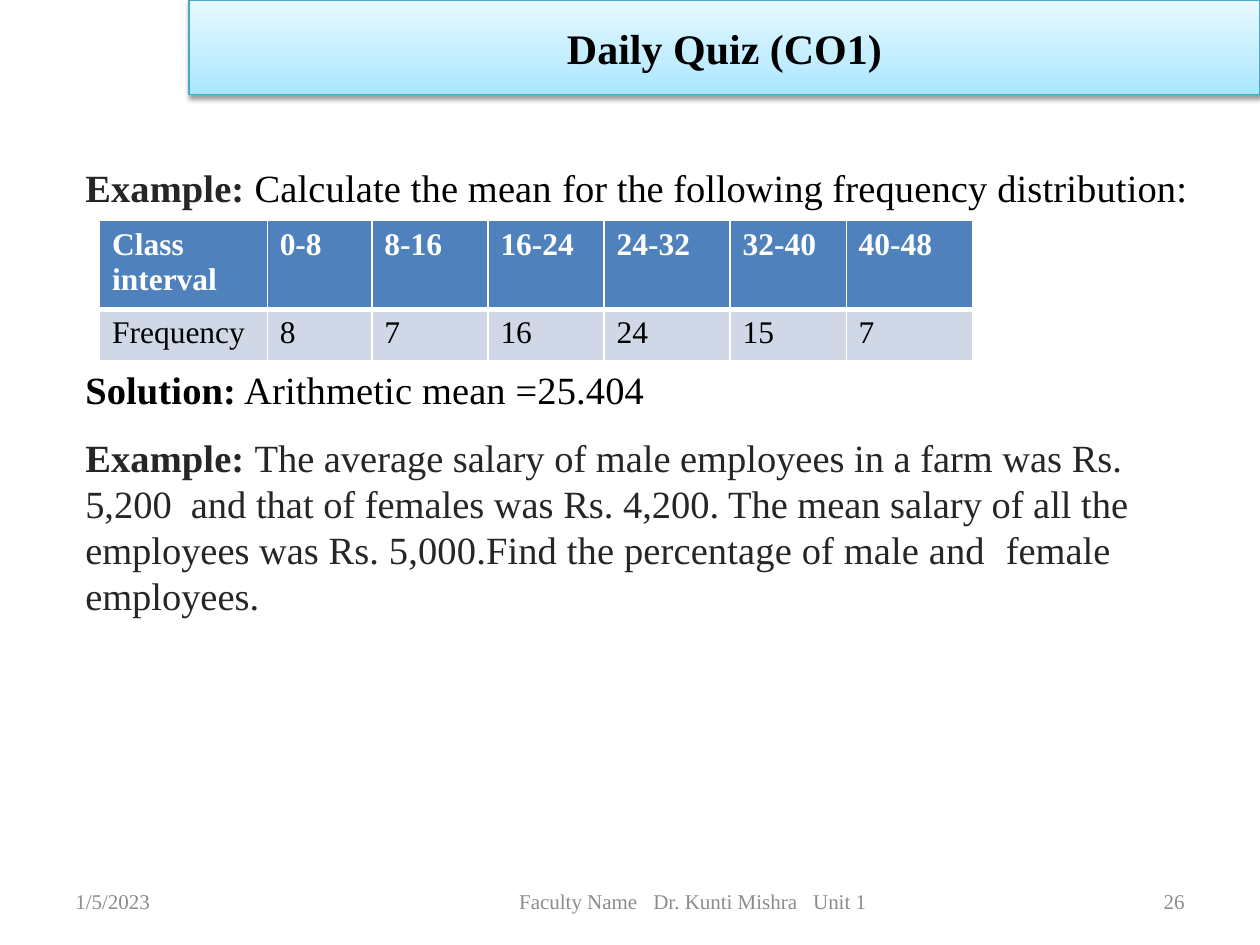
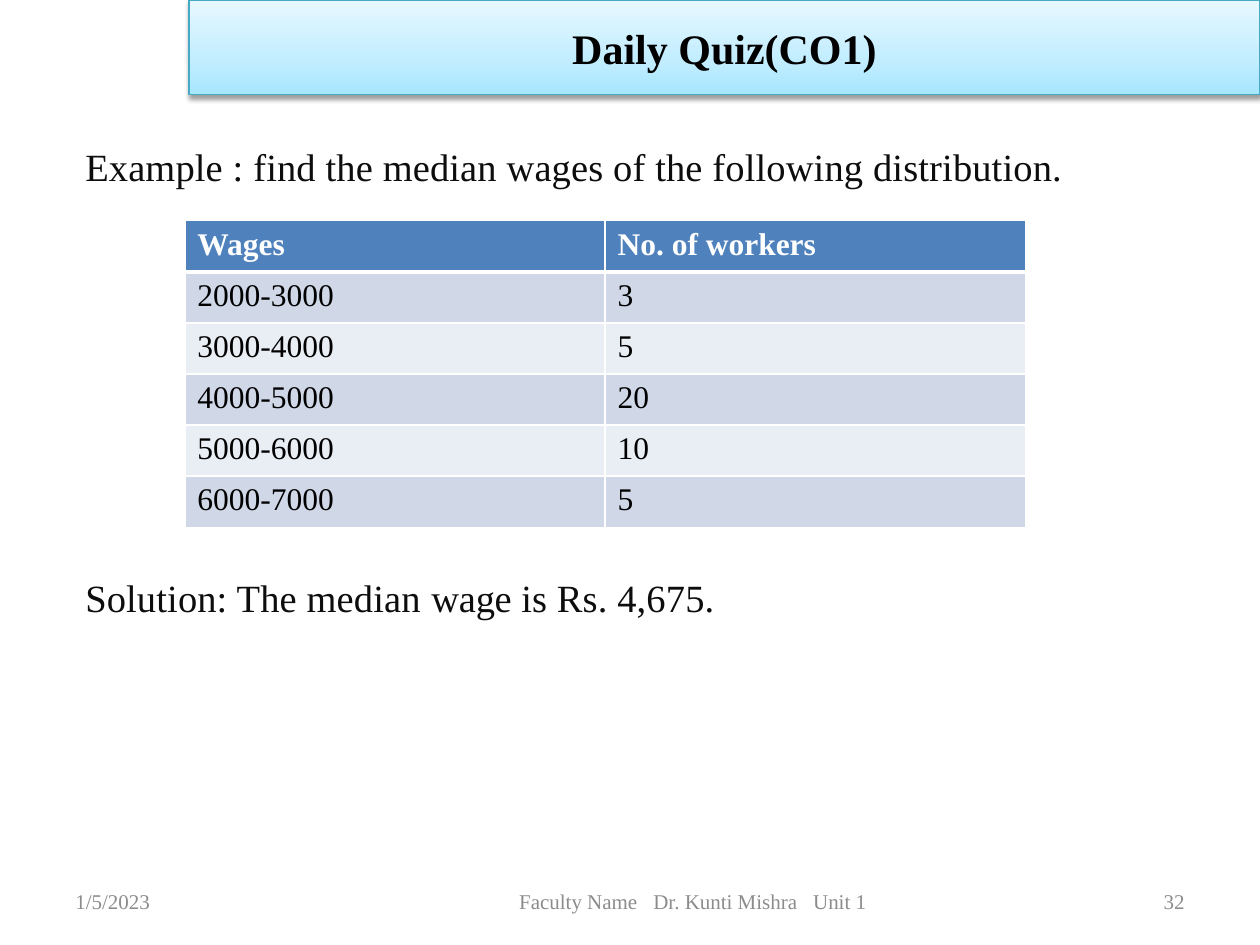
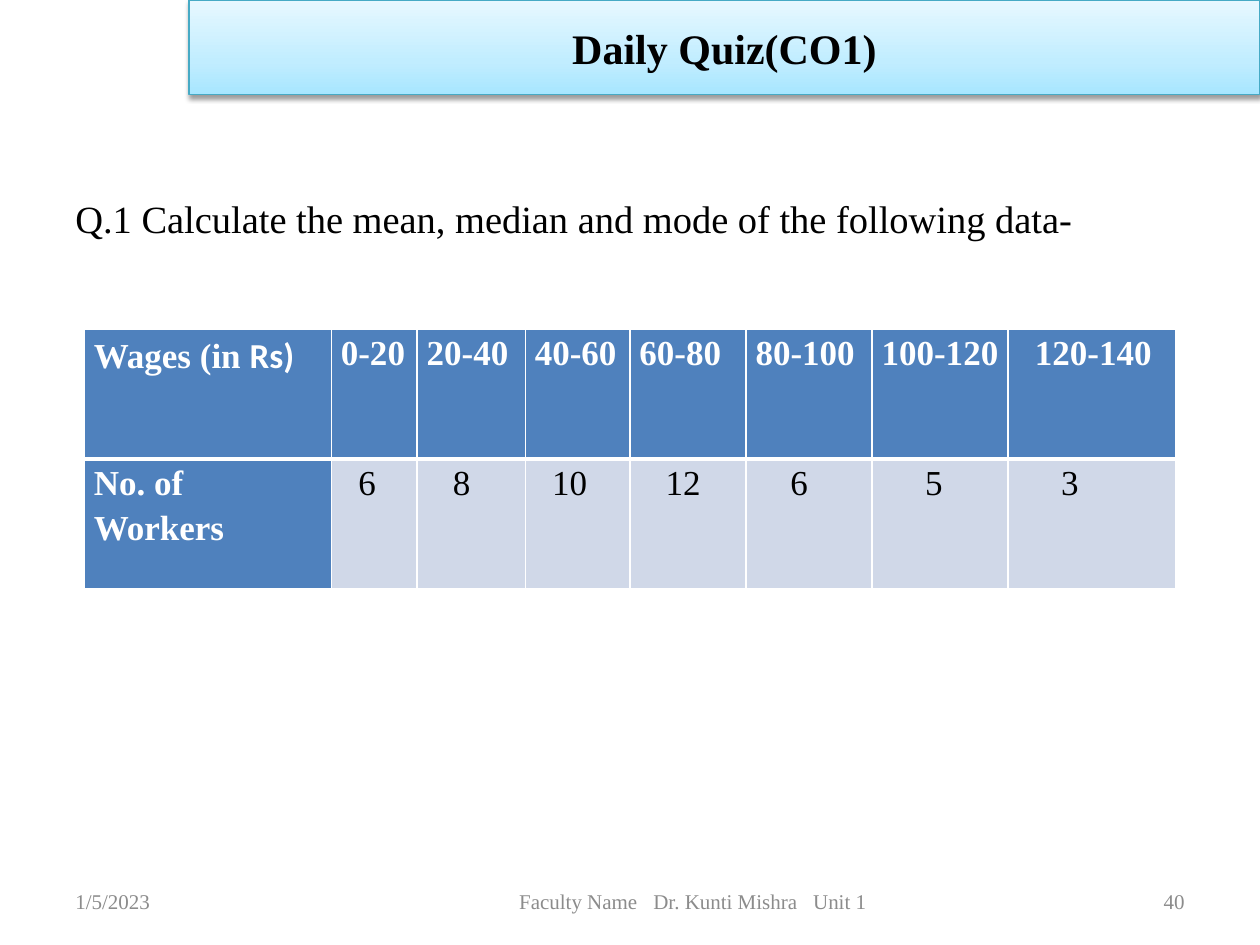
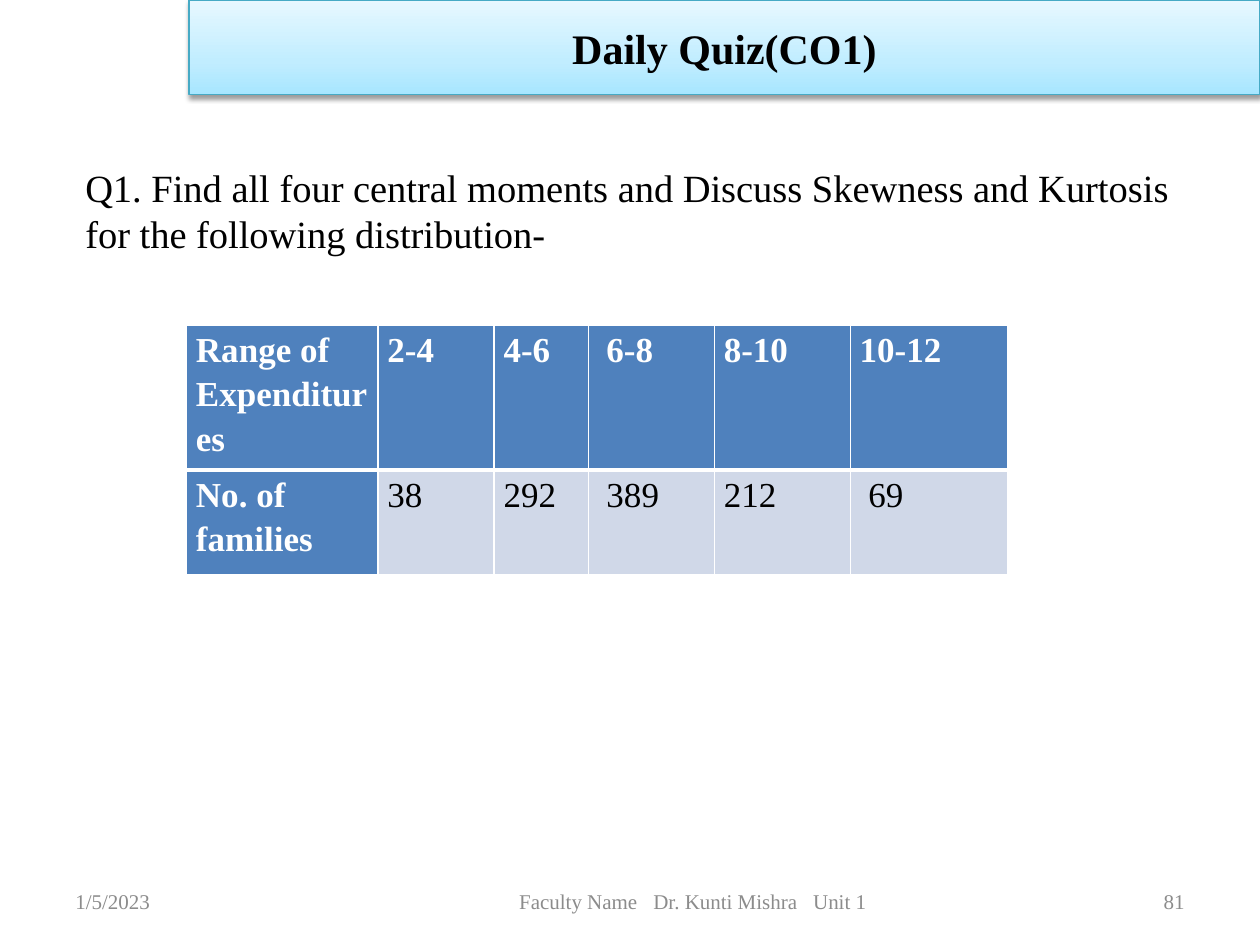
"""Builds four Daily Quiz slides on statistics with tables and a shared frame."""
from lxml import etree
from pptx import Presentation
from pptx.dml.color import RGBColor as RGB
from pptx.enum.shapes import MSO_SHAPE as SHAPE
from pptx.enum.text import MSO_ANCHOR as ANCHOR, PP_ALIGN as ALIGN
from pptx.oxml import parse_xml
from pptx.oxml.ns import nsdecls, qn
from pptx.util import Cm, Pt

COLORS = {
    "black": "000000", "white": "FFFFFF", "grey": "8C8C8C", "dark": "262626",
    "ink": "0D0D0D", "edge": "46AAC5", "deep": "A7E6FF", "mid": "C1EDFF",
    "pale": "E7F8FF", "head": "4F81BD", "odd": "D0D8E8", "even": "E9EDF4",
}
FOOTER = [("Faculty Name", {}), (" ", {"spc": 6}), ("Dr. Kunti Mishra", {}),
          (" ", {"spc": 6}), ("Unit 1", {})]


class Deck:
    """Holds the shared style and the current slide."""

    def __init__(self):
        self.prs = Presentation()
        self.prs.slide_width, self.prs.slide_height = Cm(25.4), Cm(19.05)
        self.s = None

    def slide(self, title, number):
        self.s = self.prs.slides.add_slide(self.prs.slide_layouts[6])
        small = {"size": 12, "color": "grey"}
        for x, w, runs, align in ((1.27, 5.92, "1/5/2023", ALIGN.LEFT),
                                  (6.98, 13.97, FOOTER, ALIGN.CENTER),
                                  (18.21, 5.92, str(number), ALIGN.RIGHT)):
            self.text((x, 17.65, w, 1.02), [(runs, {"alignment": align})], small, ANCHOR.MIDDLE)
        self.banner(title)

    def paragraph(self, p, runs, base, layout):
        for key, value in layout.items():
            setattr(p, key, value)
        for text, extra in [(runs, {})] if isinstance(runs, str) else runs:
            fmt = {"name": "Times New Roman", "color": "black", "bold": False, **base, **extra}
            r = p.add_run()
            r.text = text
            r.font.color.rgb = RGB.from_string(COLORS[fmt.pop("color")])
            spc = fmt.pop("spc", 0)
            fmt["size"] = Pt(fmt["size"])
            for key, value in fmt.items():
                setattr(r.font, key, value)
            if spc:
                r.font._element.set("spc", str(round(spc * 100)))

    def text(self, box, paragraphs, base, anchor=ANCHOR.TOP):
        tf = self.s.shapes.add_textbox(*map(Cm, box)).text_frame
        tf.word_wrap, tf.vertical_anchor = True, anchor
        for i, (runs, layout) in enumerate(paragraphs):
            p = tf.add_paragraph() if i else tf.paragraphs[0]
            self.paragraph(p, runs, base, layout)

    def banner(self, title):
        sp = self.s.shapes.add_shape(SHAPE.RECTANGLE, Cm(3.81), Cm(0), Cm(21.59), Cm(1.91))
        sp.shadow.inherit = False
        sp.line.color.rgb, sp.line.width = RGB.from_string(COLORS["edge"]), Pt(0.75)
        sp.fill.gradient()
        stops = "".join(f'<a:gs pos="{pos}"><a:srgbClr val="{COLORS[c]}"/></a:gs>'
                        for pos, c in ((0, "deep"), (35000, "mid"), (100000, "pale")))
        old = sp._element.spPr.find(qn("a:gradFill"))
        old.getparent().replace(old, parse_xml(
            f'<a:gradFill {nsdecls("a")} rotWithShape="1"><a:gsLst>{stops}</a:gsLst>'
            '<a:lin ang="16200000" scaled="0"/></a:gradFill>'))
        sp._element.spPr.find(qn("a:effectLst")).append(parse_xml(
            f'<a:outerShdw {nsdecls("a")} blurRad="{Pt(3.1)}" dist="{Pt(1.6)}" dir="5400000" '
            f'rotWithShape="0"><a:srgbClr val="{COLORS["black"]}"><a:alpha val="38000"/>'
            '</a:srgbClr></a:outerShdw>'))
        tf = sp.text_frame
        tf.word_wrap, tf.vertical_anchor = True, ANCHOR.MIDDLE
        self.paragraph(tf.paragraphs[0], title, {"size": 24, "bold": True},
                       {"alignment": ALIGN.CENTER})

    def borders(self, cell, row):
        tcPr = cell._tc.get_or_add_tcPr()
        for side in "LRTB":
            width = 3 if (row, side) in ((0, "B"), (1, "T")) else 1
            ln = etree.SubElement(tcPr, qn("a:ln" + side), w=str(Pt(width)))
            fill = etree.SubElement(ln, qn("a:solidFill"))
            etree.SubElement(fill, qn("a:srgbClr"), val=COLORS["white"])

    def table(self, x, y, height, widths, heights, rows, size=18,
              margins=(0.25, 0.13), spacing=1.0, side_head=False):
        gf = self.s.shapes.add_table(len(rows), len(widths), Cm(x), Cm(y),
                                     Cm(sum(widths)), Cm(height))
        tbl = gf.table
        for col, w in zip(tbl.columns, widths):
            col.width = Cm(w)
        for row, h in zip(tbl.rows, heights):
            row.height = Cm(h)
        gf.height = Cm(height)
        for i, row in enumerate(rows):
            for j, value in enumerate(row):
                runs, indent = value if isinstance(value, tuple) else (value, 0)
                head = i == 0 or side_head and j == 0
                cell = tbl.cell(i, j)
                cell.margin_left = Cm(margins[0]) + Pt(indent)
                cell.margin_right = Cm(margins[0])
                cell.margin_top = cell.margin_bottom = Cm(margins[1])
                self.borders(cell, i)
                cell.fill.solid()
                shade = "head" if head else "odd" if i % 2 else "even"
                cell.fill.fore_color.rgb = RGB.from_string(COLORS[shade])
                base = {"size": size, "bold": head, "color": "white" if head else "black"}
                self.paragraph(cell.text_frame.paragraphs[0], runs, base,
                               {"line_spacing": spacing})


def main():
    deck = Deck()
    body = {"size": 22}
    dense = {"size": 20, "margins": (0.19, 0), "spacing": 1.15, "side_head": True}
    dark, loose, wide = {"color": "dark"}, {"spc": 0.1}, {"spc": 5.5}
    label = {"bold": True, **loose}

    deck.slide("Daily Quiz (CO1)", 26)
    deck.text((1.47, 3.18, 22.86, 16.71), [
        ([("Example: ", {**label, **dark}), ("Calculate the mean ", loose),
          ("for the following ", {}), ("frequency distribution:", loose)], {}),
        ([("Solution:", label), (" Arithmetic mean =25.404", loose)], {"space_before": Pt(89)}),
        ([("Example: ", {**label, **dark}),
          ("The average salary of male employees in a farm was Rs. 5,200", dark),
          (" ", {**dark, **wide}),
          ("and that of females was Rs. 4,200. The mean salary of all the employees was ", dark),
          ("Rs. 5,000.Find the percentage of male and", {**dark, **loose}),
          (" ", {**dark, **wide}), ("female employees.", dark)], {"space_before": Pt(12.4)}),
    ], body)
    deck.table(2.01, 4.45, 2.82, [3.38, 2.11, 2.34, 2.34, 2.54, 2.34, 2.54], [1.03] * 2, [
        ["Class interval", "0-8", "8-16", "16-24", "24-32", "32-40", "40-48"],
        ["Frequency", "8", "7", "16", "24", "15", "7"],
    ])

    deck.slide("Daily Quiz(CO1)", 32)
    exact = {"line_spacing": Pt(14.5)}
    deck.text((1.47, 3.18, 22.86, 12.57), [
        ("Example : find the median wages of the following distribution.", exact),
        ([("Solution: The median ", {}), ("wage ", {"spc": -0.1}), ("is Rs. 4,675.", {})],
         {**exact, "space_before": Pt(232)}),
    ], {**body, **loose, "color": "ink"})
    deck.table(3.73, 4.45, 6.18, [8.47] * 2, [1.03] * 6, [
        ["Wages", "No. of workers"], ["2000-3000", "3"], ["3000-4000", "5"],
        ["4000-5000", "20"], ["5000-6000", "10"], ["6000-7000", "5"],
    ])

    deck.slide("Daily Quiz(CO1)", 40)
    deck.text((1.27, 3.81, 22.86, 12.5), [
        ("Q.1 Calculate the mean, median and mode of the following data-", {})], body)
    deck.table(1.7, 6.63, 5.23, [4.98, 1.73, 2.18, 2.11, 2.34, 2.54, 2.74, 3.38], [2.62] * 2, [
        [([("Wages (in ", {}), ("Rs)", {"name": "Calibri"})], 0), "0-20", "20-40", "40-60",
         "60-80", "80-100", "100-120", ("120-140", 10)],
        ["No. of Workers", ("6", 10), ("8", 15), ("10", 10), ("12", 15), ("6", 20),
         ("5", 25), ("3", 25)],
    ], **dense)

    deck.slide("Daily Quiz(CO1)", 81)
    deck.text((1.47, 3.18, 22.86, 12.57), [
        ("Q1. Find all four central moments and Discuss Skewness and Kurtosis "
         "for the following distribution-", {})], body)
    deck.table(3.76, 6.55, 4.95, [3.86, 2.34, 1.9, 2.54, 2.74, 3.18], [1.7, 2.11], [
        ["Range of Expenditures", "2-4", "4-6", ("6-8", 5), "8-10", "10-12"],
        ["No. of families", "38", "292", ("389", 5), "212", ("69", 5)],
    ], **dense)

    deck.prs.save("out.pptx")


if __name__ == "__main__":
    main()
